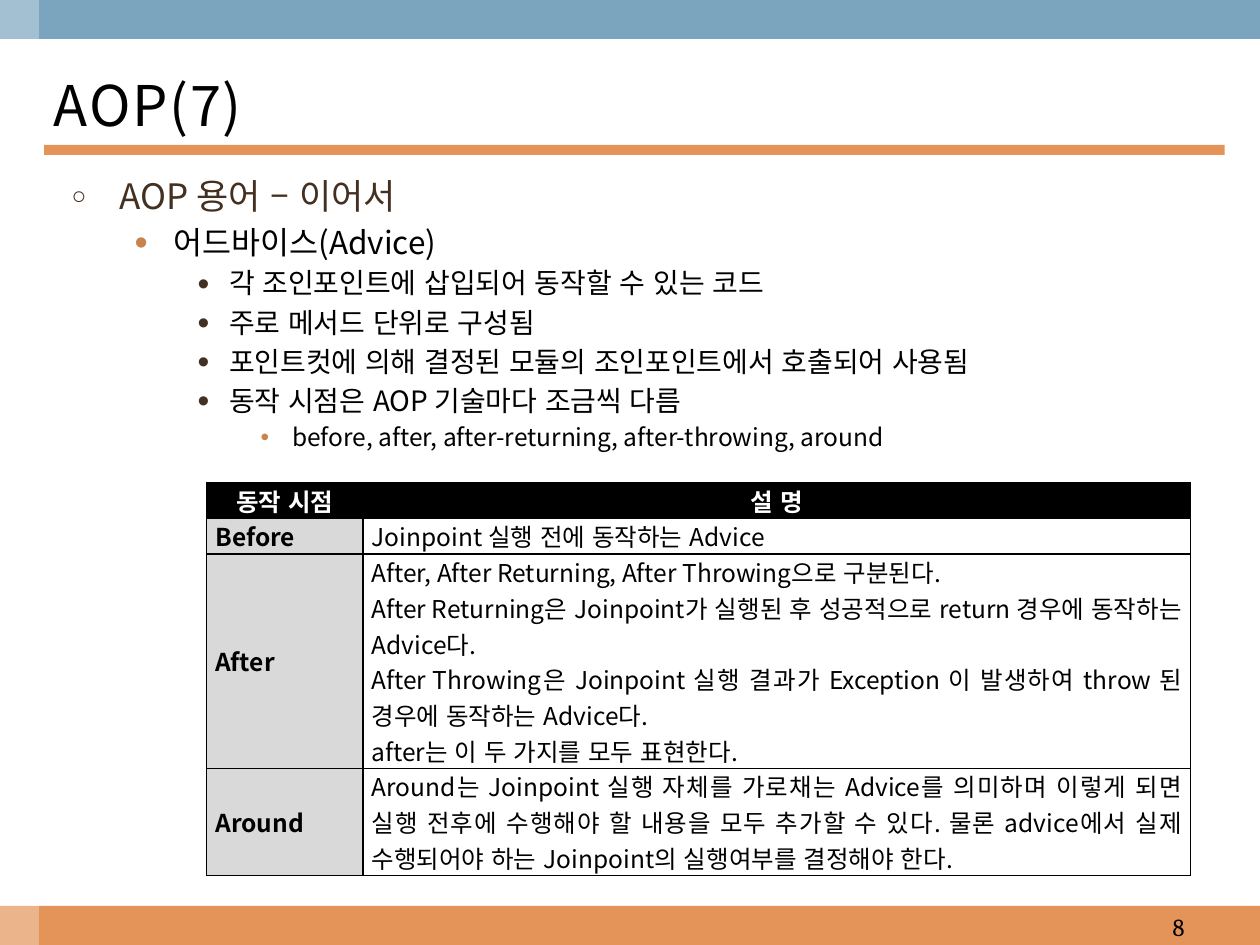
"""Build the AOP advice slide with its outline and timing table."""
from lxml.etree import SubElement as Sub
from pptx import Presentation
from pptx.dml.color import RGBColor
from pptx.enum.lang import MSO_LANGUAGE_ID as Lang
from pptx.enum.shapes import MSO_SHAPE as Shape
from pptx.enum.text import MSO_ANCHOR as Anchor, PP_ALIGN as Align
from pptx.oxml import parse_xml
from pptx.oxml.ns import nsdecls, qn
from pptx.util import Inches, Pt

BLACK = RGBColor(0x00, 0x00, 0x00)
WHITE = RGBColor(0xFF, 0xFF, 0xFF)
BLUE = RGBColor(0x7B, 0xA5, 0xBE)
CLAY = RGBColor(0xE4, 0x94, 0x58)
RUST = RGBColor(0xC9, 0x83, 0x4E)
BROWN = RGBColor(0x43, 0x30, 0x21)
GREY = RGBColor(0xD9, 0xD9, 0xD9)
SANS = "Noto Sans CJK KR"

deck = Presentation()
deck.slide_width, deck.slide_height = Inches(10), Inches(7.5)
COL, ROW = deck.slide_width // 1000, deck.slide_height // 750
slide = deck.slides.add_slide(deck.slide_layouts[6])
shapes = slide.shapes


def area(left, top, wide, high):
    return left * COL, top * ROW, wide * COL, int(high * ROW)


def style(para, size, color, bold=False, face=SANS):
    for run in para.runs:
        font = run.font
        font.size, font.bold, font.name = Pt(size), bold, face
        font.color.rgb = color
        font.language_id = Lang.KOREAN
        Sub(font._element, qn("a:ea"), typeface=face)


BARS = [
    ((0, 719, 1000, 31), CLAY),
    ((0, 0, 1000, 31), BLUE),
    ((0, 0, 31, 750), WHITE),
    ((35, 115, 937, 8), CLAY),
]
for place, color in BARS:
    bar = shapes.add_shape(Shape.RECTANGLE, *area(*place))
    bar.shadow.inherit = False
    bar.fill.solid()
    bar.fill.fore_color.rgb = color
    bar.line.fill.background()
    if color == WHITE:
        tint = bar._element.spPr.find(".//" + qn("a:srgbClr"))
        Sub(tint, qn("a:alpha"), val="30000")

LEVELS = [
    (38, 38, "○", BROWN, 70, 20, BROWN),
    (81, 31, "•", RUST, 120, 18, BLACK),
    (125, 25, "•", BROWN, 120, 16, BLACK),
    (175, 25, "•", RUST, 100, 14, BLACK),
]
POINTS = [
    (0, "AOP 용어 – 이어서"),
    (1, "어드바이스(Advice)"),
    (2, "각 조인포인트에 삽입되어 동작할 수 있는 코드"),
    (2, "주로 메서드 단위로 구성됨"),
    (2, "포인트컷에 의해 결정된 모듈의 조인포인트에서 호출되어 사용됨"),
    (2, "동작 시점은 AOP 기술마다 조금씩 다름"),
    (3, "before, after, after-returning, after-throwing, around"),
]
body = shapes.add_textbox(*area(47, 135, 900, 495)).text_frame
body.word_wrap = True
body.text = "\n".join(text for _, text in POINTS)
for para, (level, _) in zip(body.paragraphs, POINTS):
    left, hang, mark, tone, scale, size, color = LEVELS[level]
    para.level = level
    props = para._p.get_or_add_pPr()
    props.set("marL", str(left * COL))
    props.set("indent", str(-hang * COL))
    Sub(Sub(props, qn("a:buClr")), qn("a:srgbClr"), val=str(tone))
    Sub(props, qn("a:buSzPct"), val=str(scale * 1000))
    Sub(props, qn("a:buFont"), typeface="Arial")
    Sub(props, qn("a:buChar"), char=mark)
    para.line_spacing = 0.98
    if level:
        para.space_before = Pt(size * 0.22)
    style(para, size, color)

page = shapes.add_textbox(*area(717, 719, 233, 31)).text_frame
page.word_wrap = True
page.text = "8"
page.paragraphs[0].alignment = Align.RIGHT
style(page.paragraphs[0], 14, BLACK, face="Cambria")

title = shapes.add_textbox(*area(33, 31, 936, 103)).text_frame
title.word_wrap = True
title.vertical_anchor = Anchor.MIDDLE
title.text = "AOP(7)"
style(title.paragraphs[0], 32, BLACK)
title.paragraphs[0].runs[0].font._element.set("spc", "100")

CELLS = [
    ("동작 시점", "설 명", 1),
    ("Before", "Joinpoint 실행 전에 동작하는 Advice", 1),
    ("After", "After, After Returning, After Throwing으로 구분된다.\n"
     "After Returning은 Joinpoint가 실행된 후 성공적으로 return 경우에 "
     "동작하는 Advice다.\n"
     "After Throwing은 Joinpoint 실행 결과가 Exception 이 발생하여 throw "
     "된 경우에 동작하는 Advice다.\n"
     "after는 이 두 가지를 모두 표현한다.", 6),
    ("Around", "Around는 Joinpoint 실행 자체를 가로채는 Advice를 의미하며 이렇게 "
     "되면 실행 전후에 수행해야 할 내용을 모두 추가할 수 있다. 물론 advice에서 "
     "실제 수행되어야 하는 Joinpoint의 실행여부를 결정해야 한다.", 3),
]
LINE = 28.35
lines = sum(row[2] for row in CELLS)
grid = shapes.add_table(len(CELLS), 2, *area(164, 383, 781, LINE * lines)).table
grid.first_row = grid.horz_banding = False
grid.columns[0].width, grid.columns[1].width = 124 * COL, 657 * COL
for r, (*texts, count) in enumerate(CELLS):
    grid.rows[r].height = int(LINE * ROW * count)
    for c, text in enumerate(texts):
        cell, head = grid.cell(r, c), r == 0
        cell.margin_left = cell.margin_right = 7 * COL
        cell.margin_top = cell.margin_bottom = 0
        if head or c == 0:
            cell.fill.solid()
            cell.fill.fore_color.rgb = BLACK if head else GREY
        else:
            cell.fill.background()
        if c == 0 and not head:
            cell.vertical_anchor = Anchor.MIDDLE
        props = cell._tc.get_or_add_tcPr()
        for i, side in enumerate("LRTB"):
            props.insert(i, parse_xml(
                f'<a:ln{side} {nsdecls("a")} w="12700"><a:solidFill>'
                f'<a:srgbClr val="{BLACK}"/></a:solidFill></a:ln{side}>'))
        cell.text_frame.text = text
        for para in cell.text_frame.paragraphs:
            para.alignment = Align.CENTER if head else Align.JUSTIFY
            style(para, 14, WHITE if head else BLACK, head or c == 0)

deck.save("out.pptx")
